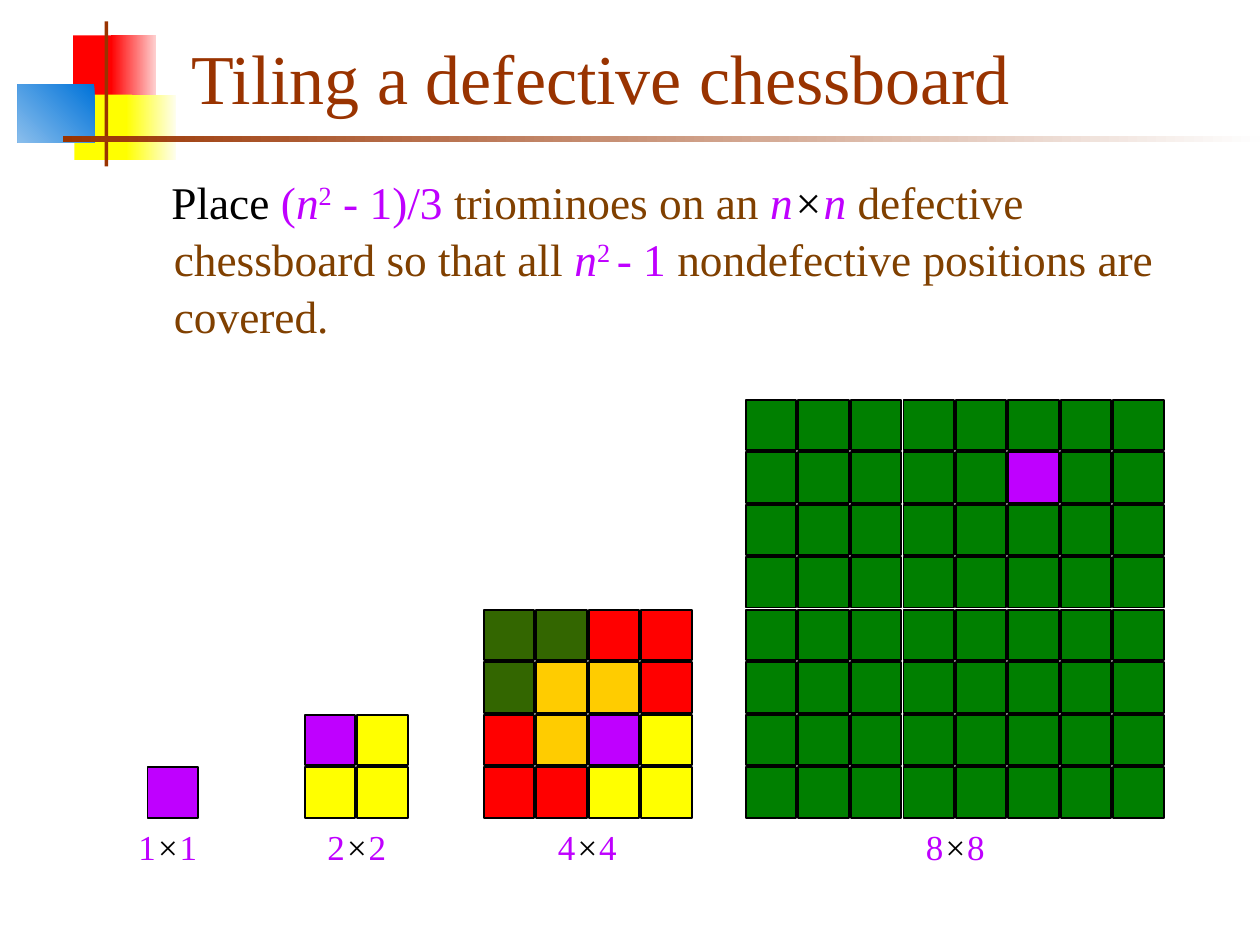
from pptx import Presentation
from pptx import util as u
from pptx.dml.color import RGBColor
from pptx.enum import shapes, text
from pptx.oxml.xmlchemy import OxmlElement

FONT = "Times New Roman"
BLACK, PURPLE, BROWN, RUST = "000000", "BF00FF", "804000", "993300"
RED, YELLOW = "FF0000", "FFFF00"

CELL_COLORS = {"P": PURPLE, "Y": YELLOW, "R": RED,
               "D": "336600", "O": "FFCC00", "G": "007F00"}
CELL, PITCH, BOTTOM_ROW = 0.4, 5 / 12, 6.09

# left edge, label left edge, rows of cells
BOARDS = [
    (1.17, 1.0, ["P"]),
    (2.42, 2.5, ["PY", "YY"]),
    (3.84, 4.33, ["DDRR", "DOOR", "ROPY", "RRYY"]),
    (5.92, 7.25, ["G" * 8, "GGGGGPGG"] + ["G" * 8] * 6),
]

# box, colours (one for solid, two for a gradient), clockwise angle
ORNAMENTS = [
    ((0.58, 0.28, 0.35, 0.52), [RED], 0),
    ((0.88, 0.28, 0.36, 0.52), ["FED0D0", RED], 180),
    ((0.59, 0.75, 0.46, 0.52), [YELLOW], 0),
    ((1.0, 0.75, 0.4, 0.52), ["FEFEEF", YELLOW], 180),
    ((0.14, 0.67, 0.61, 0.46), ["0073D9", "8ABEEC"], 135),
    ((0.83, 0.17, 0.03, 1.15), [RUST], 0),
    ((0.5, 1.08, 9.5, 0.05), ["FEFEFE", RUST], 180),
]

# text, colour, style: i italic, s superscript
STATEMENT = [
    ("Place ", BLACK, ""), ("(", PURPLE, ""), ("n", PURPLE, "i"),
    ("2", PURPLE, "s"), (" - 1)/3 ", PURPLE, ""),
    ("triominoes on an ", BROWN, ""), ("n", PURPLE, "i"),
    ("×", BLACK, "i"), ("n ", PURPLE, "i"),
    ("defective chessboard so that all ", BROWN, ""),
    ("n", PURPLE, "i"), ("2 ", PURPLE, "s"), ("- 1 ", PURPLE, ""),
    ("nondefective positions are covered.", BROWN, ""),
]


def color(value):
    return RGBColor.from_string(value)


def inches(values):
    return [u.Inches(value) for value in values]


class SlideBuilder:
    """Holds the font and the slide being drawn."""

    def __init__(self, slide, font):
        self.slide, self.font = slide, font

    def rectangle(self, box, colors, angle=0, outlined=False, parent=None):
        shape = (parent or self.slide).shapes.add_shape(
            shapes.MSO_SHAPE.RECTANGLE, *inches(box))
        shape.shadow.inherit = False
        if len(colors) == 1:
            shape.fill.solid()
            shape.fill.fore_color.rgb = color(colors[0])
        else:
            shape.fill.gradient()
            shape.fill.gradient_angle = (360 - angle) % 360
            for stop, value in zip(shape.fill.gradient_stops, colors):
                stop.color.rgb = color(value)
        if outlined:
            shape.line.color.rgb = color(BLACK)
            shape.line.width = u.Pt(1)
        else:
            shape.line.fill.background()

    def add_spans(self, para, spans, size):
        for words, value, style in spans:
            span = para.add_run()
            span.text = words
            span.font.name = self.font
            span.font.size = u.Pt(size)
            span.font.color.rgb = color(value)
            span.font.italic = "i" in style
            if "s" in style:
                span._r.get_or_add_rPr().set("baseline", "30000")

    def placeholder(self, index, box, spans, size, anchor):
        shape = self.slide.placeholders[index]
        shape.left, shape.top, shape.width, shape.height = inches(box)
        frame = shape.text_frame
        frame.auto_size = text.MSO_AUTO_SIZE.NONE
        frame.vertical_anchor = anchor
        para = frame.paragraphs[0]
        para.alignment = text.PP_ALIGN.LEFT
        para.space_before = u.Pt(0)
        self.add_spans(para, spans, size)
        return para

    def statement(self, box, spans, size):
        """Fill the body with one unbulleted paragraph."""
        para = self.placeholder(1, box, spans, size, text.MSO_ANCHOR.TOP)
        para.line_spacing = 1.05
        properties = para._p.get_or_add_pPr()
        properties.set("marL", str(u.Inches(0.38)))
        properties.set("indent", str(u.Inches(-0.02)))
        properties.append(OxmlElement("a:buNone"))

    def board(self, left, label_left, rows):
        group = self.slide.shapes.add_group_shape()
        top = BOTTOM_ROW - (len(rows) - 1) * PITCH
        for row, cells in enumerate(rows):
            for column, key in enumerate(cells):
                box = (left + column * PITCH, top + row * PITCH, CELL, CELL)
                self.rectangle(box, [CELL_COLORS[key]], outlined=True,
                               parent=group)
        label = group.shapes.add_textbox(*inches((label_left, 6.5, 0.83, 0.43)))
        label.text_frame.word_wrap = True
        side = str(len(rows))
        self.add_spans(label.text_frame.paragraphs[0],
                       [(side, PURPLE, ""), ("×", BLACK, "i"),
                        (side, PURPLE, "")], 20)


def main():
    deck = Presentation()
    deck.slide_width, deck.slide_height = inches((10, 7.5))
    page = SlideBuilder(deck.slides.add_slide(deck.slide_layouts[1]), FONT)
    for box, colors, angle in ORNAMENTS:
        page.rectangle(box, colors, angle)
    page.placeholder(0, (1.42, 0.21, 8.58, 0.79),
                     [("Tiling a defective chessboard", RUST, "")], 40,
                     text.MSO_ANCHOR.MIDDLE)
    page.statement((0.9, 1.31, 8.5, 1.5), STATEMENT, 25.9)
    for board in BOARDS:
        page.board(*board)
    deck.save("out.pptx")


if __name__ == "__main__":
    main()
